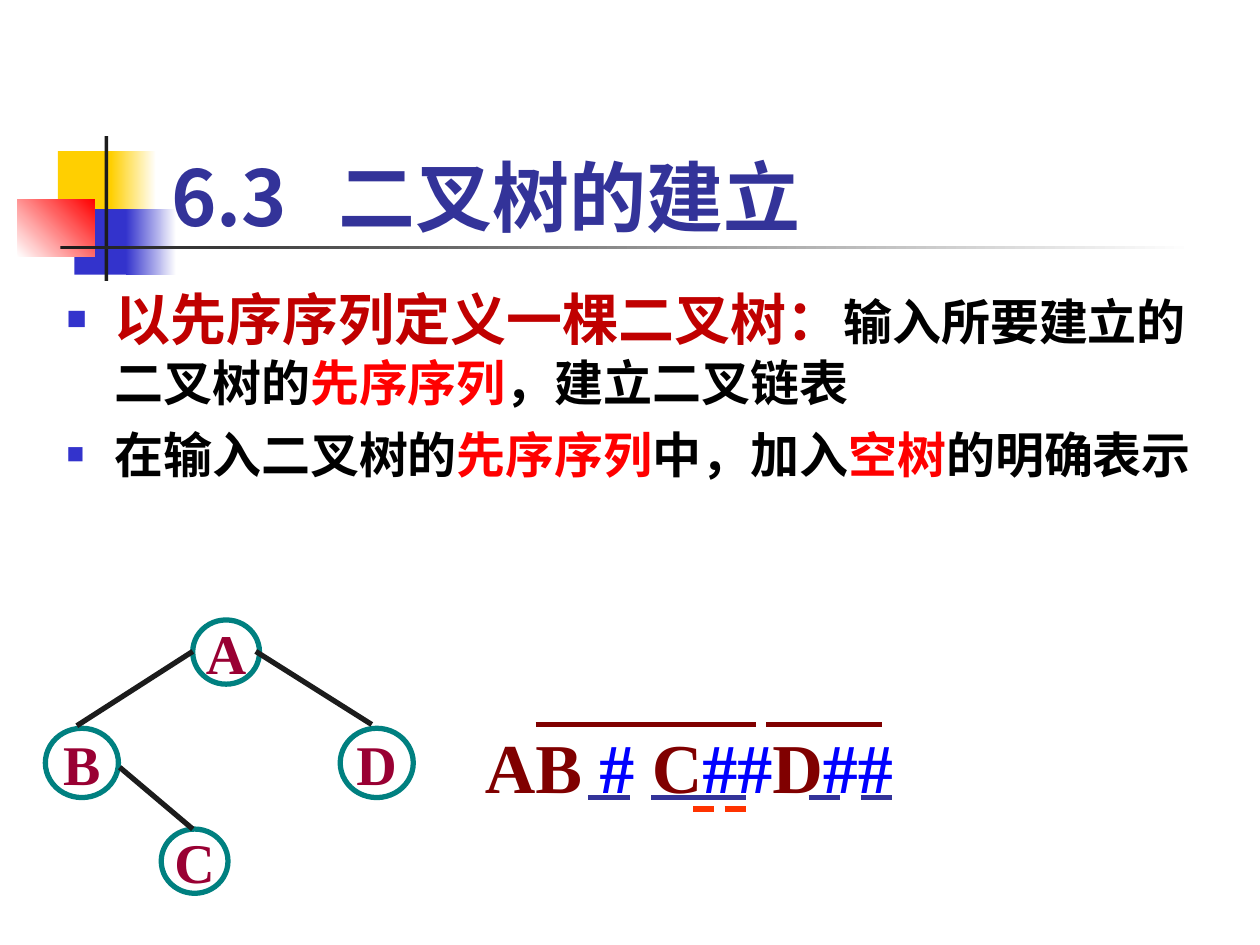
"""Build the slide on creating a binary tree from its preorder sequence."""
from typing import NamedTuple

from lxml import etree
from pptx import Presentation
from pptx.dml.color import RGBColor
from pptx.enum.shapes import MSO_CONNECTOR, MSO_SHAPE
from pptx.enum.text import MSO_ANCHOR, PP_ALIGN
from pptx.oxml.ns import qn
from pptx.util import Inches, Pt

RECTANGLE, ELLIPSE = MSO_SHAPE.RECTANGLE, MSO_SHAPE.OVAL
STRAIGHT = MSO_CONNECTOR.STRAIGHT
BOTTOM, MIDDLE, TOP = MSO_ANCHOR.BOTTOM, MSO_ANCHOR.MIDDLE, MSO_ANCHOR.TOP
CENTER = PP_ALIGN.CENTER
SANS, SERIF = "Noto Sans CJK SC", "Times New Roman"
COLORS = {
    "white": "FFFFFF", "black": "000000", "ink": "1C1C1C", "yellow": "FFCF01",
    "blue": "3333CC", "navy": "333399", "red": "FF0000", "crimson": "C00000",
    "teal": "008080", "plum": "990033", "maroon": "800000",
    "bright blue": "0000FF", "orange": "FF3300",
}


class Block(NamedTuple):
    left: float
    top: float
    width: float
    height: float
    color: str
    fade_to: str = ""
    angle: float = 0


class Node(NamedTuple):
    label: str
    left: float
    top: float
    width: float
    height: float


class Line(NamedTuple):
    start: tuple[float, float]
    end: tuple[float, float]
    color: str


class Span(NamedTuple):
    text: str
    color: str
    size: float


BLOCKS = [
    Block(0.46, 1.2, 0.48, 0.52, "yellow"),
    Block(0.88, 1.2, 0.36, 0.52, "yellow", "white"),
    Block(0.59, 1.66, 0.46, 0.52, "blue"),
    Block(1, 1.66, 0.4, 0.52, "blue", "white"),
    Block(0.14, 1.58, 0.61, 0.46, "white", "red", 45),
    Block(0.83, 1.08, 0.03, 1.15, "ink"),
    Block(0.48, 1.95, 9, 0.03, "ink", "white"),
]
NODES = [
    Node("A", 1.53, 4.92, 0.53, 0.51),
    Node("B", 0.36, 5.78, 0.58, 0.55),
    Node("C", 1.28, 6.58, 0.53, 0.51),
    Node("D", 2.7, 5.78, 0.58, 0.55),
]
EDGES = [
    Line((1.53, 5.17), (0.61, 5.76), "ink"),
    Line((2.03, 5.17), (2.95, 5.75), "ink"),
    Line((0.95, 6.09), (1.53, 6.58), "ink"),
]
MARKS = {
    (5.75, "maroon"): [(4.25, 6), (6.08, 7)],
    (6.33, "navy"): [(4.67, 5), (5.17, 5.92), (6.42, 6.67), (6.83, 7.08)],
    (6.42, "orange"): [(5.5, 5.67), (5.75, 5.92)],
}
BULLETS = [
    [Span("以先序序列定义一棵二叉树：", "crimson", 32),
     Span("输入所要建立的二叉树的", "black", 28),
     Span("先序序列", "red", 28),
     Span("，建立二叉链表", "black", 28)],
    [Span("在输入二叉树的", "black", 28),
     Span("先序序列", "red", 28),
     Span("中，加入", "black", 28),
     Span("空树", "red", 28),
     Span("的明确表示", "black", 28)],
]
SEQUENCE = [
    Span(text, "bright blue" if "#" in text else "maroon", 40)
    for text in ("AB ", "# ", "C", "##", "D", "##")
]


def rgb(color: str) -> RGBColor:
    """Look up a named colour."""
    return RGBColor.from_string(COLORS[color])


def style(font, name: str) -> None:
    """Make a font bold and name its Latin and East Asian faces."""
    font.bold = True
    font.name = name
    etree.SubElement(font._rPr, qn("a:ea"), typeface=SANS)


def add_spans(para, spans: list[Span], name: str) -> None:
    """Add coloured runs that share one typeface."""
    style(para.font, name)
    for span in spans:
        run = para.add_run()
        run.text = span.text
        run.font.size = Pt(span.size)
        run.font.color.rgb = rgb(span.color)


def add_shape(page, kind, item, color: str):
    """Add an outlineless shape with a plain fill."""
    shape = page.shapes.add_shape(kind, *(Inches(n) for n in (
        item.left, item.top, item.width, item.height)))
    shape.shadow.inherit = False
    shape.fill.solid()
    shape.fill.fore_color.rgb = rgb(color)
    shape.line.fill.background()
    return shape


def add_block(page, block: Block) -> None:
    """Add a decorative rectangle, faded if asked."""
    shape = add_shape(page, RECTANGLE, block, block.color)
    if block.fade_to:
        shape.fill.gradient()
        shape.fill.gradient_angle = block.angle
        for stop, color in zip(shape.fill.gradient_stops, (block.color, block.fade_to)):
            stop.color.rgb = rgb(color)


def add_node(page, node: Node) -> None:
    """Add a labelled tree node."""
    shape = add_shape(page, ELLIPSE, node, "white")
    shape.line.color.rgb = rgb("teal")
    shape.line.width = Pt(3)
    frame = shape.text_frame
    frame.word_wrap = False
    frame.vertical_anchor = MIDDLE
    para = frame.paragraphs[0]
    para.alignment = CENTER
    add_spans(para, [Span(node.label, "plum", 32)], SERIF)


def add_line(page, line: Line) -> None:
    """Add a straight line."""
    connector = page.shapes.add_connector(
        STRAIGHT, *(Inches(n) for n in line.start + line.end))
    connector.line.color.rgb = rgb(line.color)
    connector.line.width = Pt(3)
    etree.SubElement(connector._element.spPr, qn("a:effectLst"))


def add_frame(page, left: float, top: float, width: float, height: float,
              anchor=TOP, wrap: bool = True):
    """Add a text box and return its frame."""
    box = page.shapes.add_textbox(*(Inches(n) for n in (left, top, width, height)))
    frame = box.text_frame
    frame.word_wrap = wrap
    frame.vertical_anchor = anchor
    return frame


def add_bullet(para) -> None:
    """Give a paragraph a hanging square bullet."""
    props = para._p.get_or_add_pPr()
    props.set("marL", str(Inches(0.38)))
    props.set("indent", str(-Inches(0.38)))
    color = etree.SubElement(props, qn("a:buClr"))
    etree.SubElement(color, qn("a:srgbClr"), val=COLORS["blue"])
    etree.SubElement(props, qn("a:buSzPct"), val="60000")
    etree.SubElement(props, qn("a:buFont"), typeface=SERIF)
    etree.SubElement(props, qn("a:buChar"), char="■")


def add_title(page) -> None:
    """Add the heading with its number set off by a tab."""
    frame = add_frame(page, 1.26, 0.67, 8.52, 1.25, BOTTOM)
    frame.margin_bottom = 0
    para = frame.paragraphs[0]
    tabs = etree.SubElement(para._p.get_or_add_pPr(), qn("a:tabLst"))
    etree.SubElement(tabs, qn("a:tab"), pos=str(Inches(1.33)), algn="l")
    add_spans(para, [Span("6.3\t二叉树的建立", "navy", 44)], SANS)


def add_body(page) -> None:
    """Add the bulleted explanation."""
    frame = add_frame(page, 0.43, 2.17, 9.3, 4.34)
    frame.margin_top = Inches(0.15)
    for index, spans in enumerate(BULLETS):
        para = frame.add_paragraph() if index else frame.paragraphs[0]
        add_bullet(para)
        para.line_spacing = Pt(34)
        para.space_before = Pt(7 if index else 0)
        add_spans(para, spans, SANS)


def main() -> None:
    """Build and save the deck."""
    deck = Presentation()
    deck.slide_width, deck.slide_height = Inches(10), Inches(7.5)
    page = deck.slides.add_slide(deck.slide_layouts[6])
    for block in BLOCKS:
        add_block(page, block)
    add_title(page)
    add_body(page)
    for node in NODES:
        add_node(page, node)
    marks = [Line((start, y), (end, y), color)
             for (y, color), extents in MARKS.items() for start, end in extents]
    for line in EDGES + marks:
        add_line(page, line)
    para = add_frame(page, 3.75, 5.56, 3.44, 0.9, wrap=False).paragraphs[0]
    para.line_spacing = 1.2
    add_spans(para, SEQUENCE, SERIF)
    deck.save("out.pptx")


if __name__ == "__main__":
    main()
